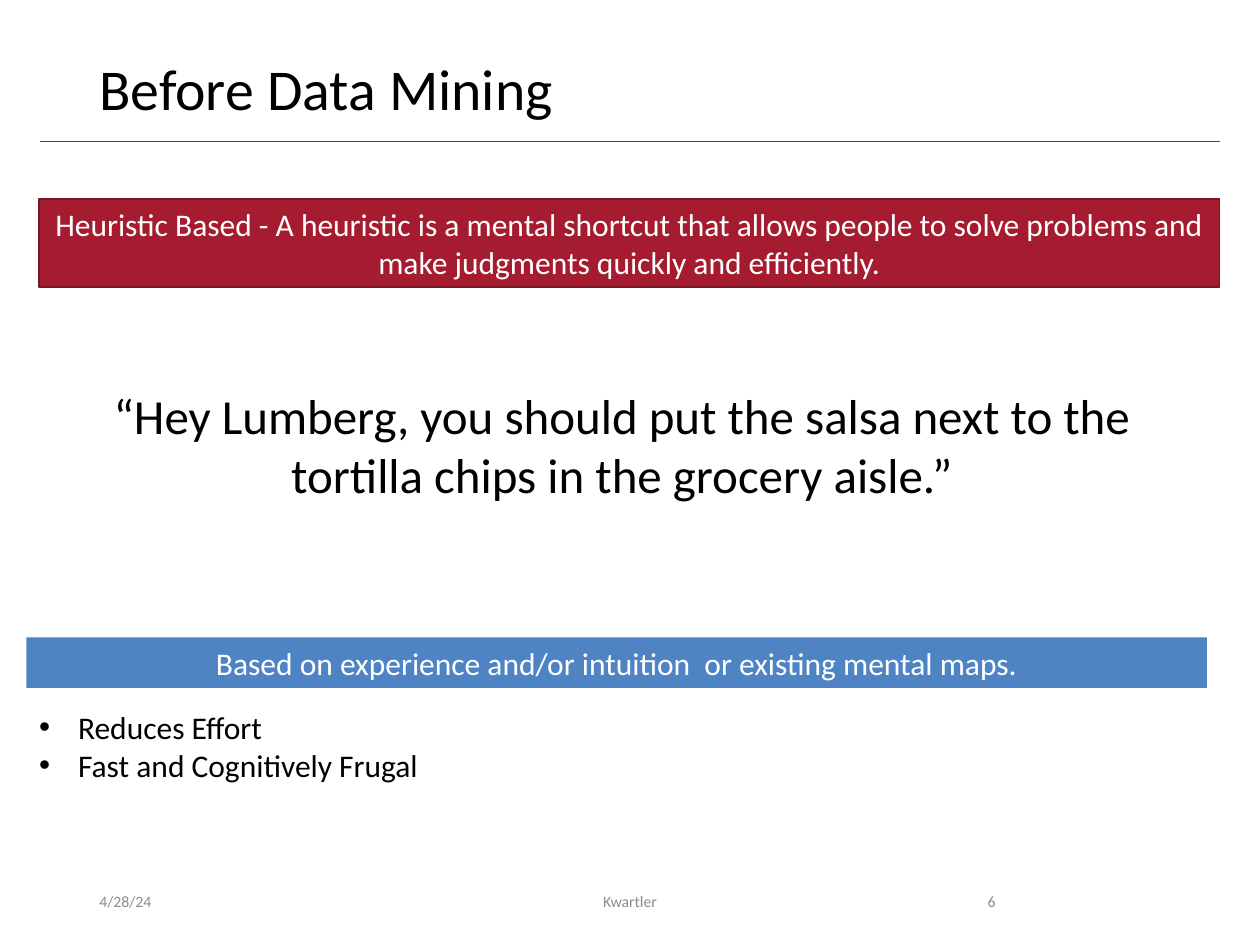
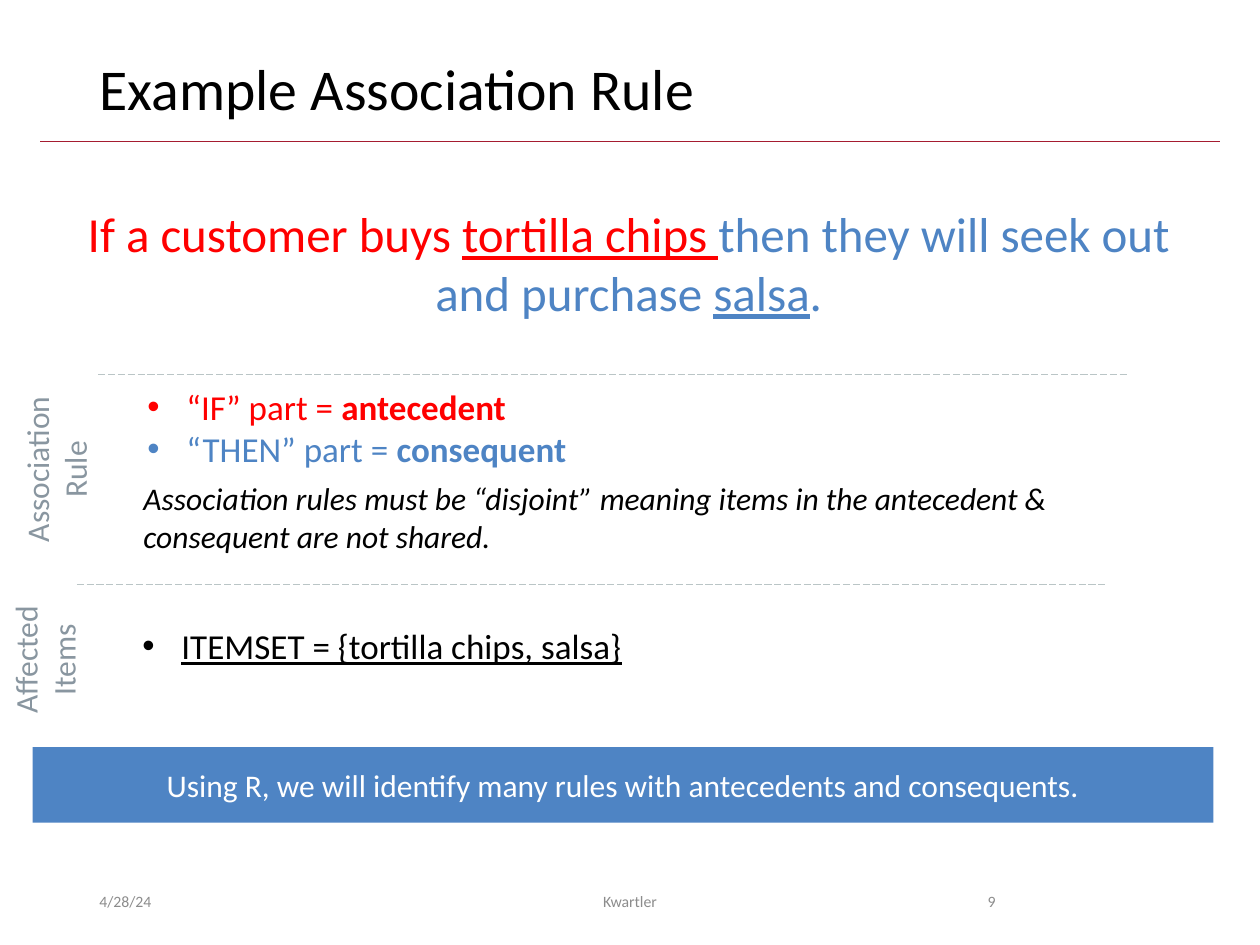
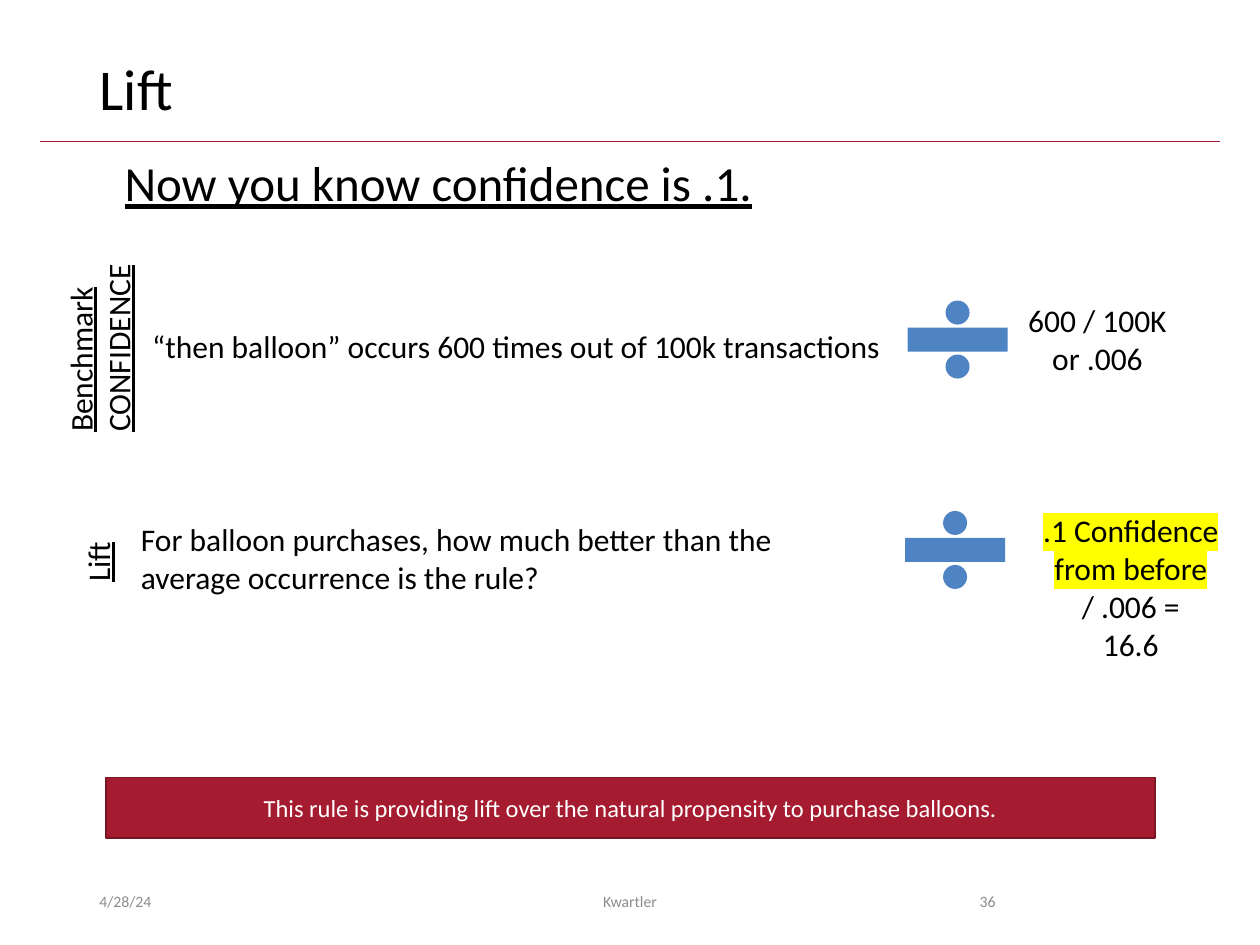
from lxml import etree
from pptx import Presentation
from pptx.dml.color import RGBColor
from pptx.enum.dml import MSO_LINE
from pptx.enum.shapes import MSO_CONNECTOR, MSO_SHAPE
from pptx.enum.text import MSO_ANCHOR, MSO_AUTO_SIZE, PP_ALIGN
from pptx.oxml.ns import qn
from pptx.util import Inches, Pt

COLORS = {
    "crimson": "A51C30", "crimson_edge": "7A1524", "blue": "4E84C4",
    "red": "FF0000", "black": "000000", "white": "FFFFFF",
    "label": "8996A0", "dash": "BAC5C6", "footer": "8C8C8C",
    "yellow": "FFFF00",
}
FONT = "Calibri"
LEFT, CENTER, RIGHT = PP_ALIGN.LEFT, PP_ALIGN.CENTER, PP_ALIGN.RIGHT
LAYOUT_ONE_LIST, LAYOUT_TWO_LISTS, LAYOUT_NO_LIST = 1, 3, 5
BAND_WIDTH = 9.37


def rgb(name):
    return RGBColor.from_string(COLORS[name])


class Deck:
    """Holds the shared style and the slide being built."""

    def __init__(self):
        self.prs = Presentation()
        self.prs.slide_width, self.prs.slide_height = Inches(10), Inches(7.5)
        self.slide = None

    def start(self, layout, title, number):
        """Add a slide with its title, rule and footer."""
        self.slide = self.prs.slides.add_slide(self.prs.slide_layouts[layout])
        heading = self.slide.shapes.title
        self.place(heading, 0.69, 0.4, 8.62, 0.65)
        self.fill_text(heading, [title], size=33, anchor=MSO_ANCHOR.MIDDLE)
        heading.text_frame.paragraphs[0].line_spacing = 0.9
        self.line(0.32, 9.68, 1.12, "crimson")
        for words, left, width, align in (("4/28/24", 0.69, 2.25, LEFT),
                                          ("Kwartler", 3.31, 3.38, CENTER),
                                          (number, 7.06, 0.94, RIGHT)):
            self.text([words], left, 6.95, width, 0.4, size=9, color="footer",
                      align=align, anchor=MSO_ANCHOR.MIDDLE)

    def place(self, shape, left, top, width, height):
        shape.left, shape.top = Inches(left), Inches(top)
        shape.width, shape.height = Inches(width), Inches(height)

    def style(self, font, color=None, bold=None, italic=None, underline=None):
        if color:
            font.color.rgb = rgb(color)
        for key, value in (("bold", bold), ("italic", italic), ("underline", underline)):
            if value is not None:
                setattr(font, key, value)

    def fill_text(self, shape, paragraphs, size=18, color="black", align=LEFT,
                  anchor=MSO_ANCHOR.TOP, wrap=True, bulleted=False, **emphasis):
        """Each paragraph is a string or a list of (text, run style) pairs."""
        frame = shape.text_frame
        frame.word_wrap = wrap
        frame.auto_size = MSO_AUTO_SIZE.NONE
        frame.vertical_anchor = anchor
        for index, content in enumerate(paragraphs):
            paragraph = frame.add_paragraph() if index else frame.paragraphs[0]
            paragraph.alignment = align
            paragraph.space_before = Pt(0)
            if bulleted:
                props = paragraph._p.get_or_add_pPr()
                props.set("marL", str(Inches(0.31)))
                props.set("indent", str(-Inches(0.31)))
            paragraph.font.name = FONT
            paragraph.font.size = Pt(size)
            self.style(paragraph.font, color, **emphasis)
            for words, look in [(content, {})] if isinstance(content, str) else content:
                run = paragraph.add_run()
                run.text = words
                look = dict(look)
                highlight = look.pop("highlight", None)
                self.style(run.font, **look)
                if highlight:
                    mark = etree.SubElement(run._r.get_or_add_rPr(), qn("a:highlight"))
                    etree.SubElement(mark, qn("a:srgbClr"), val=COLORS[highlight])

    def text(self, paragraphs, left, top, width, height, rotation=0, **look):
        box = self.slide.shapes.add_textbox(
            Inches(left), Inches(top), Inches(width), Inches(height))
        box.rotation = rotation
        self.fill_text(box, paragraphs, **look)

    def side_label(self, paragraphs, left, top, width, height, **look):
        self.text(paragraphs, left, top, width, height, rotation=270, wrap=False, **look)

    def bullets(self, slot, items, left, top, width, height, **look):
        body = self.slide.placeholders[slot]
        self.place(body, left, top, width, height)
        self.fill_text(body, items, bulleted=True, **look)

    def shape(self, kind, left, top, width, height, fill, edge=None):
        shape = self.slide.shapes.add_shape(
            kind, Inches(left), Inches(top), Inches(width), Inches(height))
        shape.shadow.inherit = False
        shape.fill.solid()
        shape.fill.fore_color.rgb = rgb(fill)
        if edge:
            shape.line.color.rgb = rgb(edge)
            shape.line.width = Pt(1)
        else:
            shape.line.fill.background()
        return shape

    def band(self, words, left, top, width, height, fill, edge=None, size=18):
        bar = self.shape(MSO_SHAPE.RECTANGLE, left, top, width, height, fill, edge)
        self.fill_text(bar, [words], size=size, color="white", align=CENTER,
                       anchor=MSO_ANCHOR.MIDDLE)

    def divide_sign(self, left, top):
        self.shape(MSO_SHAPE.MATH_DIVIDE, left, top, 1.08, 0.81, "blue")

    def line(self, start, end, y, color, dash=None):
        rule = self.slide.shapes.add_connector(
            MSO_CONNECTOR.STRAIGHT, Inches(start), Inches(y), Inches(end), Inches(y))
        rule.line.color.rgb = rgb(color)
        rule.line.width = Pt(0.5)
        if dash:
            rule.line.dash_style = dash
        etree.SubElement(rule._element.spPr, qn("a:effectLst"))


def before_data_mining(deck):
    deck.start(LAYOUT_ONE_LIST, "Before Data Mining", "6")
    deck.band("Heuristic Based - A heuristic is a mental shortcut that allows people "
              "to solve problems and make judgments quickly and efficiently.",
              0.31, 1.58, BAND_WIDTH, 0.7, "crimson", "crimson_edge")
    deck.text(["“Hey Lumberg, you should put the salsa next to the tortilla chips "
               "in the grocery aisle.”"], 0.3, 3.01, 9.27, 1.04, size=28, align=CENTER)
    deck.band("Based on experience and/or intuition  or existing mental maps.",
              0.21, 5.06, BAND_WIDTH, 0.4, "blue")
    deck.bullets(1, ["Reduces Effort", "Fast and Cognitively Frugal"],
                 0.21, 5.57, 3.25, 0.71)


def example_rule(deck):
    deck.start(LAYOUT_TWO_LISTS, "Example Association Rule", "9")
    blue, bold = {"color": "blue"}, {"bold": True}
    underlined = {"underline": True}
    deck.text([[("If a customer buys ", {}), ("tortilla chips ", underlined),
                ("then they will seek out and purchase ", blue),
                ("salsa", blue | underlined), (".", blue)]],
              0.26, 1.57, 9.46, 1.04, size=28, color="red", align=CENTER)

    # Association rule
    deck.line(0.78, 8.96, 2.97, "dash", MSO_LINE.LONG_DASH)
    deck.side_label(["Association", "Rule"], -0.24, 3.37, 1.37, 0.71,
                    color="label", align=CENTER)
    deck.bullets(1, [[("“IF” part = ", {}), ("antecedent", bold)],
                     [("“THEN” part = ", blue), ("consequent", blue | bold)]],
                 1.07, 3.01, 5, 0.77, size=20, color="red")
    deck.text(["Association rules must be “disjoint” meaning items in the antecedent "
               "& consequent are not shared."], 1.04, 3.75, 8.54, 0.71, italic=True)

    # Affected items
    deck.line(0.61, 8.79, 4.64, "dash", MSO_LINE.LONG_DASH)
    deck.side_label(["Affected", "Items"], -0.18, 4.88, 1.07, 0.71,
                    color="label", align=CENTER)
    deck.bullets(2, ["ITEMSET = {tortilla chips, salsa}"], 1.03, 4.91, 4.07, 0.44,
                 size=20, underline=True)
    deck.band("Using R, we will identify many rules with antecedents and consequents.",
              0.26, 5.93, BAND_WIDTH, 0.6, "blue")


def lift(deck):
    deck.start(LAYOUT_NO_LIST, "Lift", "36")
    deck.text(["Now you know confidence is .1."], 0.89, 1.16, 5.24, 0.57,
              size=28, wrap=False, underline=True)

    # Benchmark confidence
    deck.side_label(["Benchmark", "CONFIDENCE"], 0.02, 2.4, 1.54, 0.71, underline=True)
    deck.text(["“then balloon” occurs 600 times out of 100k transactions"],
              1.11, 2.55, 6.05, 0.4, wrap=False)
    deck.divide_sign(7.06, 2.29)
    deck.text(["600 / 100K", "or .006"], 8.05, 2.34, 1.32, 0.71, align=CENTER, wrap=False)

    # Lift over the benchmark
    deck.side_label(["Lift"], 0.48, 4.22, 0.59, 0.4, underline=True)
    deck.text(["For balloon purchases, how much better than the average occurrence "
               "is the rule?"], 1.02, 4.08, 5.69, 0.71)
    deck.divide_sign(7.04, 3.96)
    deck.text([[(".1 Confidence from before", {"highlight": "yellow"})],
               "/ .006 =", "16.6"], 8.11, 4.01, 1.73, 1.31, align=CENTER)
    deck.band("This rule is providing lift over the natural propensity to purchase balloons.",
              0.84, 6.17, 8.33, 0.48, "crimson", "crimson_edge", size=14)


def main():
    deck = Deck()
    before_data_mining(deck)
    example_rule(deck)
    lift(deck)
    deck.prs.save("out.pptx")


if __name__ == "__main__":
    main()
